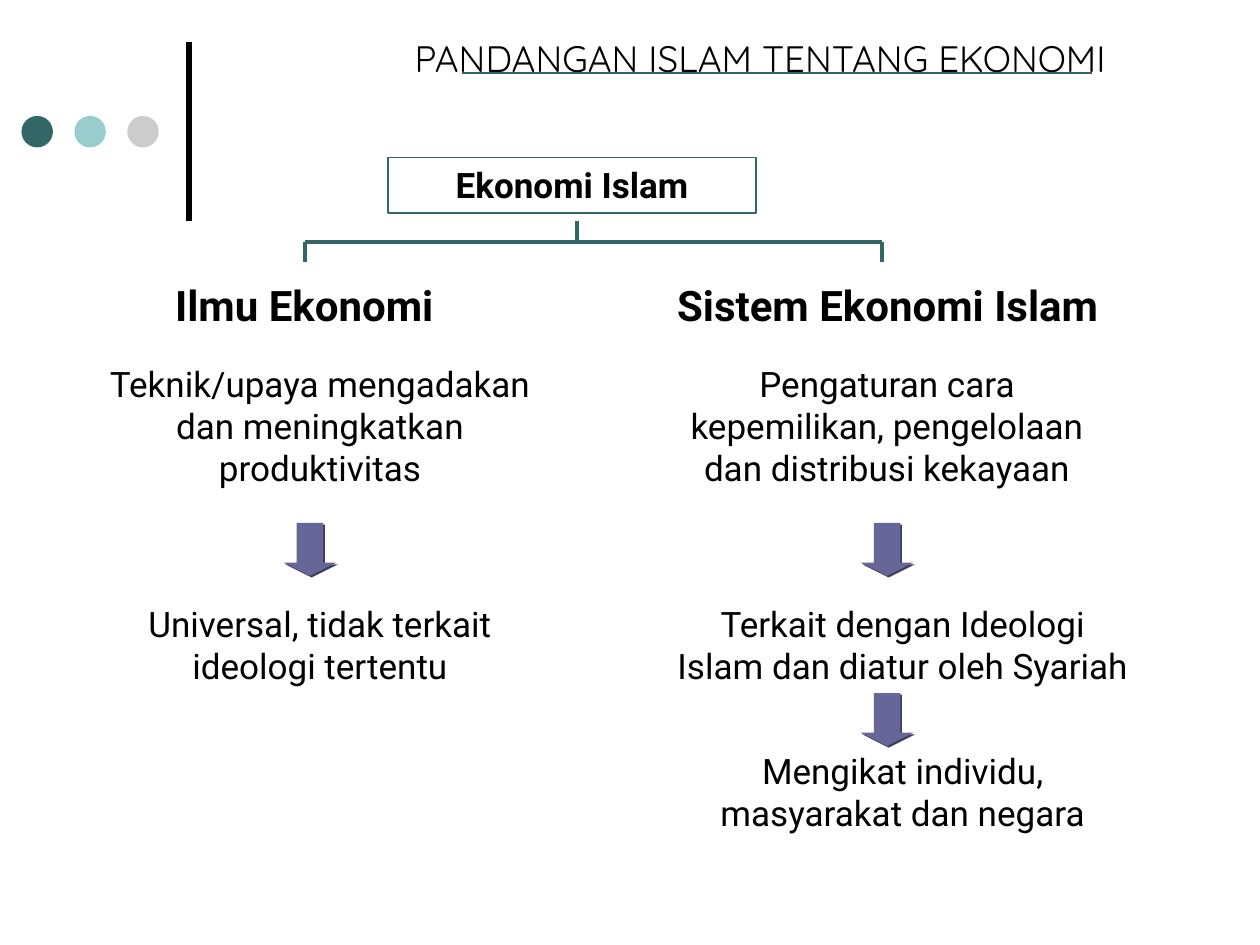
from lxml.etree import SubElement
from pptx import Presentation
from pptx.dml.color import RGBColor
from pptx.enum.shapes import MSO_CONNECTOR as Link, MSO_SHAPE as Shape
from pptx.enum.text import MSO_ANCHOR as Anchor, MSO_AUTO_SIZE as Fit, PP_ALIGN as Align
from pptx.oxml.ns import qn
from pptx.util import Inches, Pt

TITLE = "PANDANGAN ISLAM TENTANG EKONOMI"
ROOT = "Ekonomi Islam"
TEAL, BLACK, VIOLET, SHADE = "336666", "000000", "666699", "3C3C5B"
DOTS = [TEAL, "99CCCC", "CCCCCC"]
TEXTS = [
    ("Ilmu Ekonomi", (1, 2.17, 2.83, 0.5), 24, True),
    ("Sistem Ekonomi Islam", (4.67, 2.17, 4.75, 0.5), 24, True),
    ("Teknik/upaya mengadakan dan meningkatkan produktivitas",
     (0.75, 2.83, 3.58, 1.44), 20, False),
    ("Pengaturan cara kepemilikan, pengelolaan dan distribusi kekayaan",
     (5.25, 2.83, 3.58, 1.44), 20, False),
    ("Universal, tidak terkait ideologi tertentu",
     (0.75, 4.73, 3.58, 0.77), 20, False),
    ("Terkait dengan Ideologi Islam dan diatur oleh Syariah",
     (5.25, 4.73, 3.83, 1.1), 20, False),
    ("Mengikat individu, masyarakat dan negara",
     (5.25, 5.9, 3.83, 0.77), 20, False),
]
ARROWS = [(2.25, 4.15), (6.83, 4.15), (6.83, 5.5)]
LEFT, MID, RIGHT = 2.42, 4.58, 7
TOP, BAR, LOW = 1.75, 1.92, 2.08
LINES = [
    (1.5, TOP, 1.5, 0.33, BLACK, 3),
    (3.67, 0.58, 8.67, 0.58, TEAL, 0.75),
    (LEFT, BAR, RIGHT, BAR, TEAL, 2.25),
    (MID, TOP, MID, BAR, TEAL, 2.25),
    (LEFT, BAR, LEFT, LOW, TEAL, 2.25),
    (RIGHT, BAR, RIGHT, LOW, TEAL, 2.25),
]


def color(code):
    return RGBColor.from_string(code)


def write(shape, text, size, face="Roboto", bold=False, align=Align.CENTER):
    frame = shape.text_frame
    frame.word_wrap = True
    para = frame.paragraphs[0]
    para.alignment = align
    run = para.add_run()
    run.text = text
    font = run.font
    font.name, font.size, font.bold = face, Pt(size), bold
    font.color.rgb = color(BLACK)
    return frame


def draw(kind, box, fill=None):
    shape = slide.shapes.add_shape(kind, *map(Inches, box))
    shape.shadow.inherit = False
    shape.line.fill.background()
    if fill:
        shape.fill.solid()
        shape.fill.fore_color.rgb = color(fill)
    else:
        shape.fill.background()
    return shape


def link(x1, y1, x2, y2, code, width):
    line = slide.shapes.add_connector(Link.STRAIGHT, *map(Inches, (x1, y1, x2, y2)))
    line.line.color.rgb = color(code)
    line.line.width = Pt(width)
    SubElement(line._element.spPr, qn("a:effectLst"))


def arrow(x, y):
    shape = draw(Shape.DOWN_ARROW, (x, y, 0.42, 0.42), VIOLET)
    shape.adjustments[0], shape.adjustments[1] = 0.5, 0.25
    effects = shape._element.spPr.find(qn("a:effectLst"))
    shadow = SubElement(effects, qn("a:outerShdw"), blurRad="0",
                        dist=str(Pt(1.4)), dir=str(45 * 60000))
    SubElement(shadow, qn("a:srgbClr"), val=SHADE)


deck = Presentation()
deck.slide_width, deck.slide_height = Inches(10), Inches(7.5)
slide = deck.slides.add_slide(deck.slide_layouts[5])

title = slide.shapes.title
title.left, title.top, title.width, title.height = map(Inches, (3.19, 0.25, 6.22, 0.42))
frame = write(title, TITLE, 21, "Quicksand", align=Align.LEFT)
frame.vertical_anchor = Anchor.MIDDLE
frame.auto_size = Fit.NONE

for i, fill in enumerate(DOTS):
    draw(Shape.OVAL, (0.17 + 0.42 * i, 0.92, 0.25, 0.25), fill)
for line in LINES:
    link(*line)

root = draw(Shape.RECTANGLE, (3.08, 1.25, 2.92, 0.44))
root.line.color.rgb = color(TEAL)
root.line.width = Pt(0.75)
write(root, ROOT, 20, bold=True).vertical_anchor = Anchor.TOP

for text, box, size, bold in TEXTS:
    note = slide.shapes.add_textbox(*map(Inches, box))
    write(note, text, size, bold=bold).auto_size = Fit.SHAPE_TO_FIT_TEXT
for spot in ARROWS:
    arrow(*spot)

deck.save("out.pptx")
